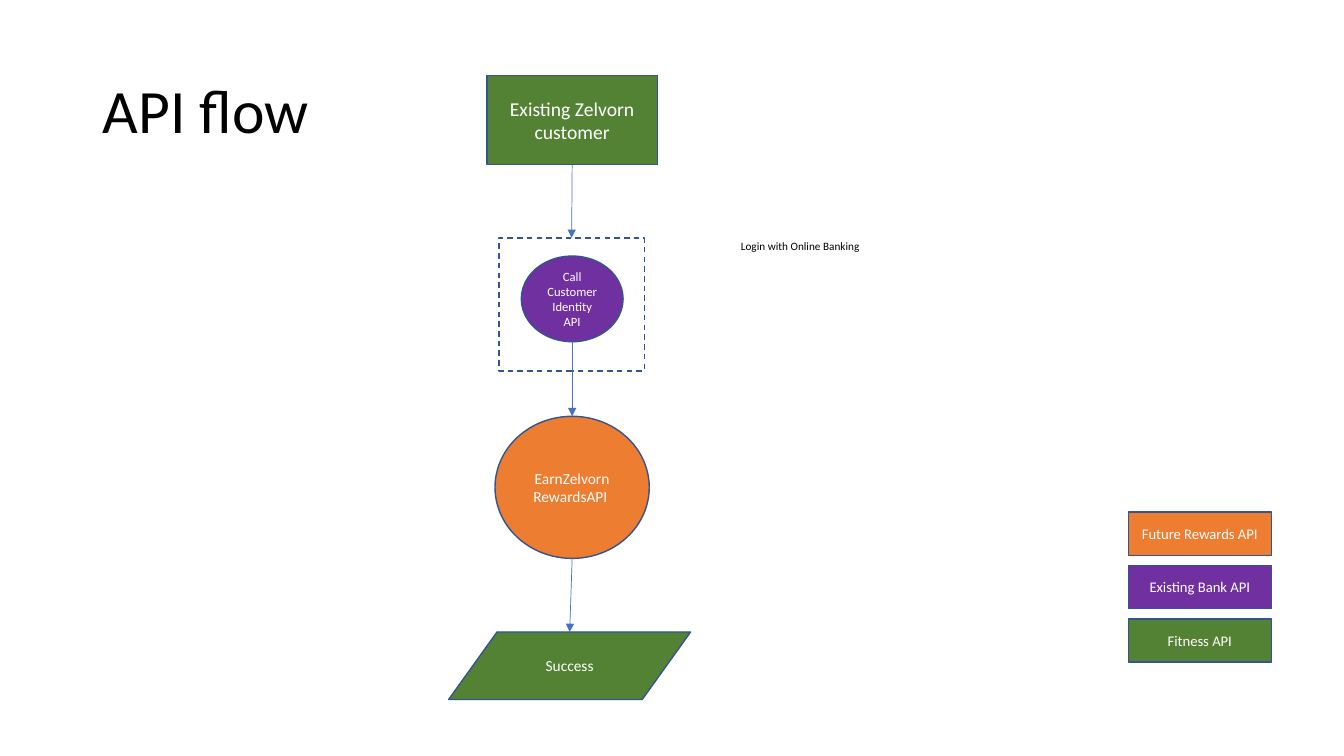
from lxml import etree
from pptx import Presentation
from pptx.dml.color import RGBColor
from pptx.enum import dml, shapes, text
from pptx.oxml import ns
from pptx.util import Inches, Pt

GREEN = RGBColor(0x54, 0x82, 0x35)
PURPLE = RGBColor(0x70, 0x30, 0xA0)
ORANGE = RGBColor(0xED, 0x7D, 0x31)
EDGE = RGBColor(0x32, 0x54, 0x91)
BLUE = RGBColor(0x44, 0x72, 0xC4)
WHITE = RGBColor(0xFF, 0xFF, 0xFF)
BLACK = RGBColor(0, 0, 0)

KIND = shapes.MSO_SHAPE
RECT, ROUND, DATA = KIND.RECTANGLE, KIND.FLOWCHART_CONNECTOR, KIND.FLOWCHART_DATA

TITLE = "API flow"
NOTE = "Login with Online Banking"
# name: (kind, left, top, width, height, fill, words, size)
STEPS = {
    "login": (ROUND, 5.17, 2.54, 1.01, 0.85, PURPLE, "Call Customer Identity API", 9),
    "frame": (RECT, 4.95, 2.36, 1.44, 1.32, None, "", 9),
    "earn": (ROUND, 4.91, 4.13, 1.53, 1.41, ORANGE, "EarnZelvorn RewardsAPI ", 11),
    "done": (DATA, 4.45, 6.27, 2.4, 0.67, GREEN, "Success", 11),
    "start": (RECT, 4.83, 0.75, 1.69, 0.88, GREEN, "Existing Zelvorn customer", 14),
}
FLOWS = [("start", "frame"), ("login", "earn"), ("earn", "done")]
LEGEND = [
    ("Future Rewards API", ORANGE),
    ("Existing Bank API", PURPLE),
    ("Fitness API", GREEN),
]
LEFT, TOP, PITCH = 11.19, 5.08, 0.53


def write(shape, words, size, color, align):
    frame = shape.text_frame
    frame.word_wrap = True
    frame.vertical_anchor = text.MSO_ANCHOR.MIDDLE
    frame.text = words
    para = frame.paragraphs[0]
    para.alignment = align
    for run in para.runs:
        run.font.name = "Calibri"
        run.font.size = Pt(size)
        run.font.color.rgb = color


def draw(slide, kind, left, top, width, height, fill, words, size):
    """Add one outlined shape; without a fill its edge is dashed."""
    shape = slide.shapes.add_shape(kind, *map(Inches, (left, top, width, height)))
    shape.shadow.inherit = False
    shape.line.color.rgb = EDGE
    shape.line.width = Pt(1)
    if fill is None:
        shape.fill.background()
        shape.line.dash_style = dml.MSO_LINE.DASH
    else:
        shape.fill.solid()
        shape.fill.fore_color.rgb = fill
    if words:
        write(shape, words, size, WHITE, text.PP_ALIGN.CENTER)
    return shape


def join(slide, upper, lower):
    """Run an arrow from the bottom of one shape to the top of the next."""
    line = slide.shapes.add_connector(
        shapes.MSO_CONNECTOR.STRAIGHT,
        upper.left + upper.width // 2, upper.top + upper.height,
        lower.left + lower.width // 2, lower.top)
    if upper.auto_shape_type == RECT:
        line.begin_connect(upper, 2)
    if lower.auto_shape_type == RECT:
        line.end_connect(lower, 0)
    line.line.color.rgb = BLUE
    line.line.width = Pt(0.5)
    etree.SubElement(line.get_or_add_ln(), ns.qn("a:tailEnd"), type="triangle")
    etree.SubElement(line._element.spPr, ns.qn("a:effectLst"))


def main():
    deck = Presentation()
    deck.slide_width, deck.slide_height = Inches(13.33), Inches(7.5)
    slide = deck.slides.add_slide(deck.slide_layouts[5])

    title = slide.shapes.title
    title.left, title.top = Inches(0.92), Inches(0.4)
    title.width, title.height = Inches(11.5), Inches(1.45)
    write(title, TITLE, 44, BLACK, text.PP_ALIGN.LEFT)
    title.text_frame.paragraphs[0].line_spacing = 0.9

    nodes = {name: draw(slide, *step) for name, step in STEPS.items()}
    for upper, lower in FLOWS:
        join(slide, nodes[upper], nodes[lower])

    for row, (words, fill) in enumerate(LEGEND):
        draw(slide, RECT, LEFT, TOP + row * PITCH, 1.42, 0.43, fill, words, 10.5)

    note = slide.shapes.add_textbox(*map(Inches, (7.25, 2.24, 1.44, 0.4)))
    write(note, NOTE, 8, BLACK, text.PP_ALIGN.LEFT)

    deck.save("out.pptx")


if __name__ == "__main__":
    main()
